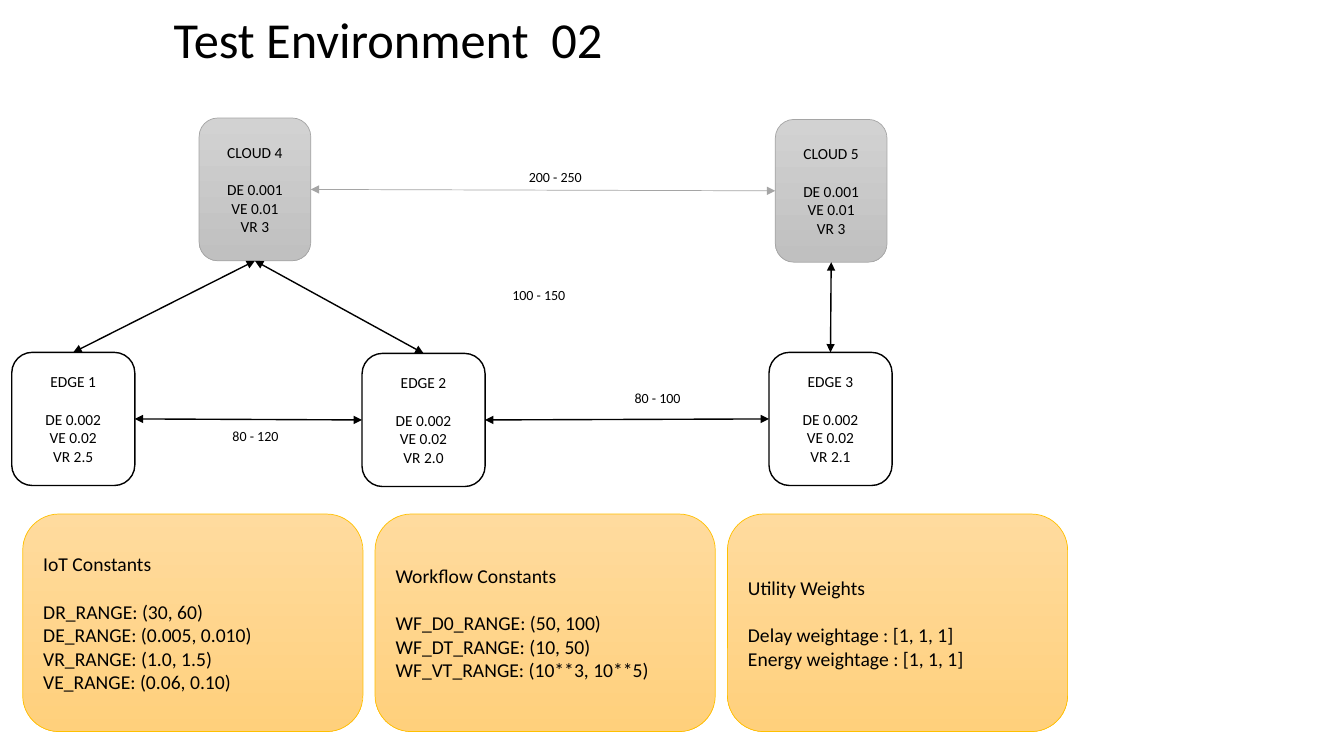
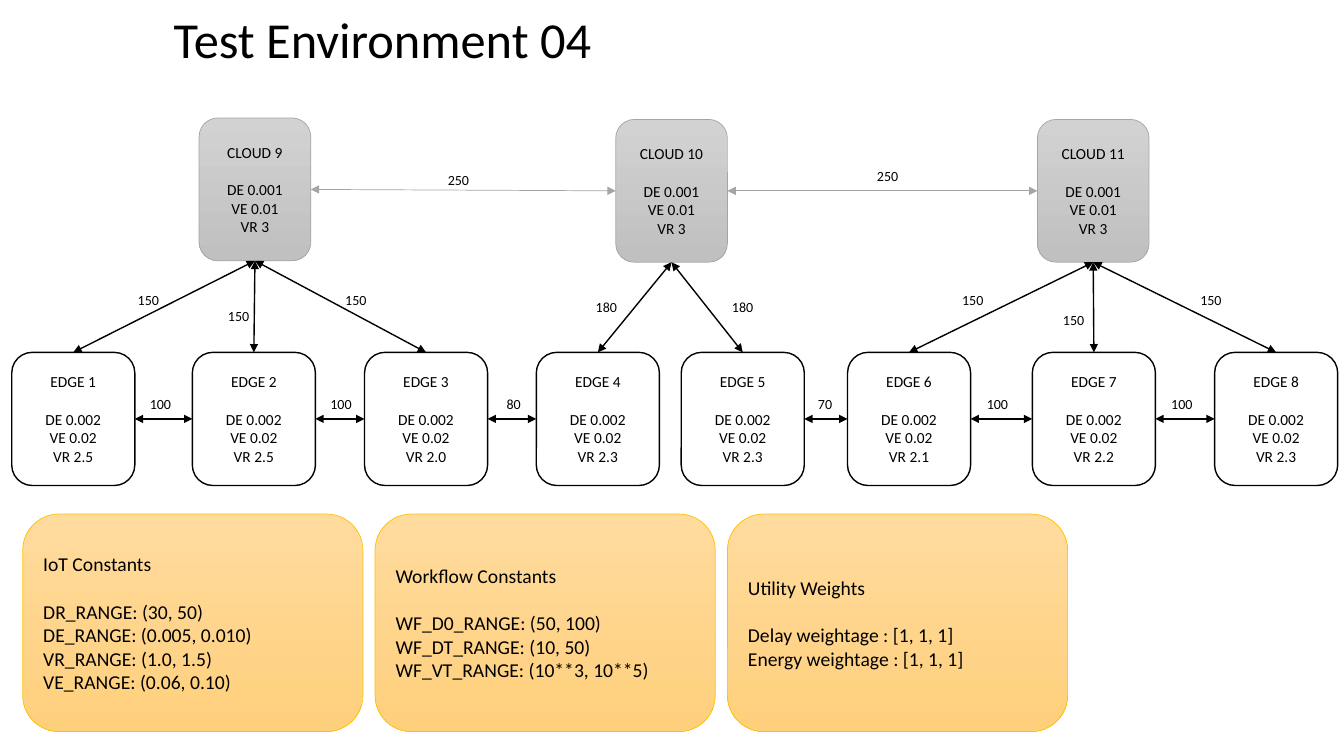
"""Two network test environments: clouds and edges with delays, above their constants."""
from lxml.etree import SubElement
from pptx import Presentation
from pptx.dml.color import RGBColor
from pptx.enum.shapes import MSO_CONNECTOR, MSO_SHAPE
from pptx.enum.text import MSO_ANCHOR, PP_ALIGN
from pptx.oxml.ns import qn
from pptx.util import Inches, Pt

FONT = "Calibri"
BLACK = RGBColor(0x00, 0x00, 0x00)
WHITE = RGBColor(0xFF, 0xFF, 0xFF)
GREY = RGBColor(0xA5, 0xA5, 0xA5)
GREY_FILL = (RGBColor(0xD2, 0xD2, 0xD2), RGBColor(0xC0, 0xC0, 0xC0))
AMBER = RGBColor(0xFF, 0xC0, 0x00)
AMBER_FILL = (RGBColor(0xFF, 0xDB, 0x9E), RGBColor(0xFF, 0xD0, 0x7C))

COLS, ROWS = 160, 90
CELL = Inches(1) / 12
TITLE_BOX = (19.5, 0.4, 54, 8.5)
CLOUD_SIZE = (13.3, 17)
EDGE_SIZE = (14.65, 15.85)
CLOUD_ROW, EDGE_ROW = 14.22, 41.95
PANELS_BOX = (2.7, 61.2, 124.4, 25.9)
PANEL_GAP = 1.45
LINE_HEIGHT = 1.22
TOP, LEFT, BOTTOM, RIGHT = range(4)


def grid(*cells):
    """Convert grid cells to slide lengths."""
    return [round(c * CELL) for c in cells]


def write(s, lines, size, align=PP_ALIGN.LEFT):
    """Write lines in one style, with a line's gap below the heading of several."""
    tf = s.text_frame
    tf.text = "\n".join(lines)
    for p in tf.paragraphs:
        p.alignment = align
        for r in p.runs:
            r.font.name, r.font.size = FONT, Pt(size)
            r.font.color.rgb = BLACK
    if len(lines) > 1:
        tf.paragraphs[0].space_after = Pt(size * LINE_HEIGHT)


def text_box(s, box, text, size, wrap=True):
    """Add a single line of text."""
    tb = s.shapes.add_textbox(*grid(*box))
    tb.text_frame.word_wrap = wrap
    write(tb, [text], size)


def card(s, kind, box, lines, size, align, colors, line, width):
    """Add a rounded card with a plain or a downward gradient fill."""
    sp = s.shapes.add_shape(kind, *grid(*box))
    sp.shadow.inherit = False
    if len(colors) == 1:
        sp.fill.solid()
        sp.fill.fore_color.rgb = colors[0]
    else:
        sp.fill.gradient()
        sp.fill.gradient_angle = 270
        for stop, color in zip(sp.fill.gradient_stops, colors):
            stop.color.rgb = color
    sp.line.color.rgb, sp.line.width = line, Pt(width)
    sp.text_frame.word_wrap = True
    sp.text_frame.vertical_anchor = MSO_ANCHOR.MIDDLE
    write(sp, lines, size, align)
    return sp


def node(s, name, box, values, colors, line, width):
    """Add a cloud or edge node with its three values."""
    lines = [name] + [f"{k} {v}" for k, v in zip(("DE", "VE", "VR"), values)]
    return card(s, MSO_SHAPE.FLOWCHART_ALTERNATE_PROCESS, box, lines, 11,
                PP_ALIGN.CENTER, colors, line, width)


def link(s, start, end, sites, label, color=BLACK, width=1):
    """Join two nodes with a double arrow, its label offset from the middle."""
    c = s.shapes.add_connector(MSO_CONNECTOR.STRAIGHT, 0, 0, 0, 0)
    c.begin_connect(start, sites[0])
    c.end_connect(end, sites[1])
    c.line.color.rgb, c.line.width = color, Pt(width)
    props = c.element.spPr
    ln = props.find(qn("a:ln"))
    for tag in ("a:headEnd", "a:tailEnd"):
        SubElement(ln, qn(tag), type="triangle")
    SubElement(props, qn("a:effectLst"))
    if label:
        text, dx, dy = label
        w, h = (5.64 if len(text) <= 3 else 9.36), 3.24
        x = (c.begin_x + c.end_x) / 2 / CELL + dx - w / 2
        y = (c.begin_y + c.end_y) / 2 / CELL + dy - h / 2
        text_box(s, (x, y, w, h), text, 10)


def network(s, clouds, edges, cloud_links, uplinks, edge_links):
    """Draw the cloud row, the edge row and the links between them."""
    cloud_nodes = [
        node(s, f"CLOUD {n}", (x, CLOUD_ROW + dy, *CLOUD_SIZE),
             ("0.001", "0.01", "3"), GREY_FILL, GREY, 0.5)
        for n, x, dy in clouds]
    edge_nodes = [
        node(s, f"EDGE {n}", (x, EDGE_ROW + dy, *EDGE_SIZE),
             ("0.002", "0.02", vr), (WHITE,), BLACK, 1)
        for n, (x, dy, vr) in enumerate(edges, 1)]
    for i, label in enumerate(cloud_links):
        link(s, cloud_nodes[i], cloud_nodes[i + 1], (RIGHT, LEFT), label, GREY, 0.5)
    for cloud, edge, label in uplinks:
        link(s, cloud_nodes[cloud], edge_nodes[edge - 1], (BOTTOM, TOP), label)
    for edge, label in edge_links:
        link(s, edge_nodes[edge - 1], edge_nodes[edge], (RIGHT, LEFT), label)


def constants(s, box, dr_range):
    """Draw the three panels of constants side by side."""
    panels = [
        ["IoT Constants", f"DR_RANGE: {dr_range}", "DE_RANGE: (0.005, 0.010)",
         "VR_RANGE: (1.0, 1.5)", "VE_RANGE: (0.06, 0.10)"],
        ["Workflow Constants", "WF_D0_RANGE: (50, 100)", "WF_DT_RANGE: (10, 50)",
         "WF_VT_RANGE: (10**3, 10**5)"],
        ["Utility Weights", "Delay weightage : [1, 1, 1]",
         "Energy weightage : [1, 1, 1]"],
    ]
    x, y, w, h = box
    panel_w = (w - PANEL_GAP * (len(panels) - 1)) / len(panels)
    for i, lines in enumerate(panels):
        card(s, MSO_SHAPE.ROUNDED_RECTANGLE, (x + i * (panel_w + PANEL_GAP), y, panel_w, h),
             lines, 14, PP_ALIGN.LEFT, AMBER_FILL, AMBER, 0.5)


def environment(prs, title, dr_range, **layout):
    """Add one test environment slide."""
    s = prs.slides.add_slide(prs.slide_layouts[6])
    text_box(s, TITLE_BOX, title, 36, wrap=False)
    network(s, **layout)
    constants(s, PANELS_BOX, dr_range)


prs = Presentation()
prs.slide_width, prs.slide_height = grid(COLS, ROWS)

environment(
    prs, "Test Environment  02", "(30, 60)",
    clouds=[(4, 23.7, -0.17), (5, 92.3, 0)],
    edges=[(1.4, 0, "2.5"), (43.1, 0.12, "2.0"), (91.55, 0, "2.1")],
    cloud_links=[("200 - 250", 1.8, -1.6)],
    uplinks=[(0, 1, None), (0, 2, ("100 - 150", 24.1, -1.4)), (1, 3, None)],
    edge_links=[(1, ("80 - 120", 1.6, 2)), (2, ("80 - 100", 4.4, -2.5))],
)
environment(
    prs, "Test Environment 04", "(30, 50)",
    clouds=[(9, 23.7, -0.17), (10, 73.3, 0), (11, 123.5, 0)],
    edges=[(1.4, 0, "2.5"), (22.9, 0, "2.5"), (43.4, 0, "2.0"), (63.85, 0, "2.3"),
           (81.1, 0, "2.3"), (100.9, 0, "2.1"), (122.9, 0, "2.2"), (144.6, 0, "2.3")],
    cloud_links=[("250", -0.2, -1.2), ("250", 1, -1.7)],
    uplinks=[(0, 1, ("150", -1.5, -0.8)), (0, 2, ("150", -1.5, 1.1)),
             (0, 3, ("150", 2.2, -0.8)), (1, 4, ("180", -3, 0)),
             (1, 5, ("180", 4.6, 0)), (2, 6, ("150", -3, -0.8)),
             (2, 7, ("150", -2, 1.5)), (2, 8, ("150", 3.5, -0.8))],
    edge_links=[(1, ("100", 0, -1.7)), (2, ("100", 0.5, -1.7)), (3, ("80", 1, -1.7)),
                (5, ("70", 0.7, -1.7)), (6, ("100", -0.1, -1.7)), (7, ("100", 0, -1.8))],
)
prs.save("out.pptx")
